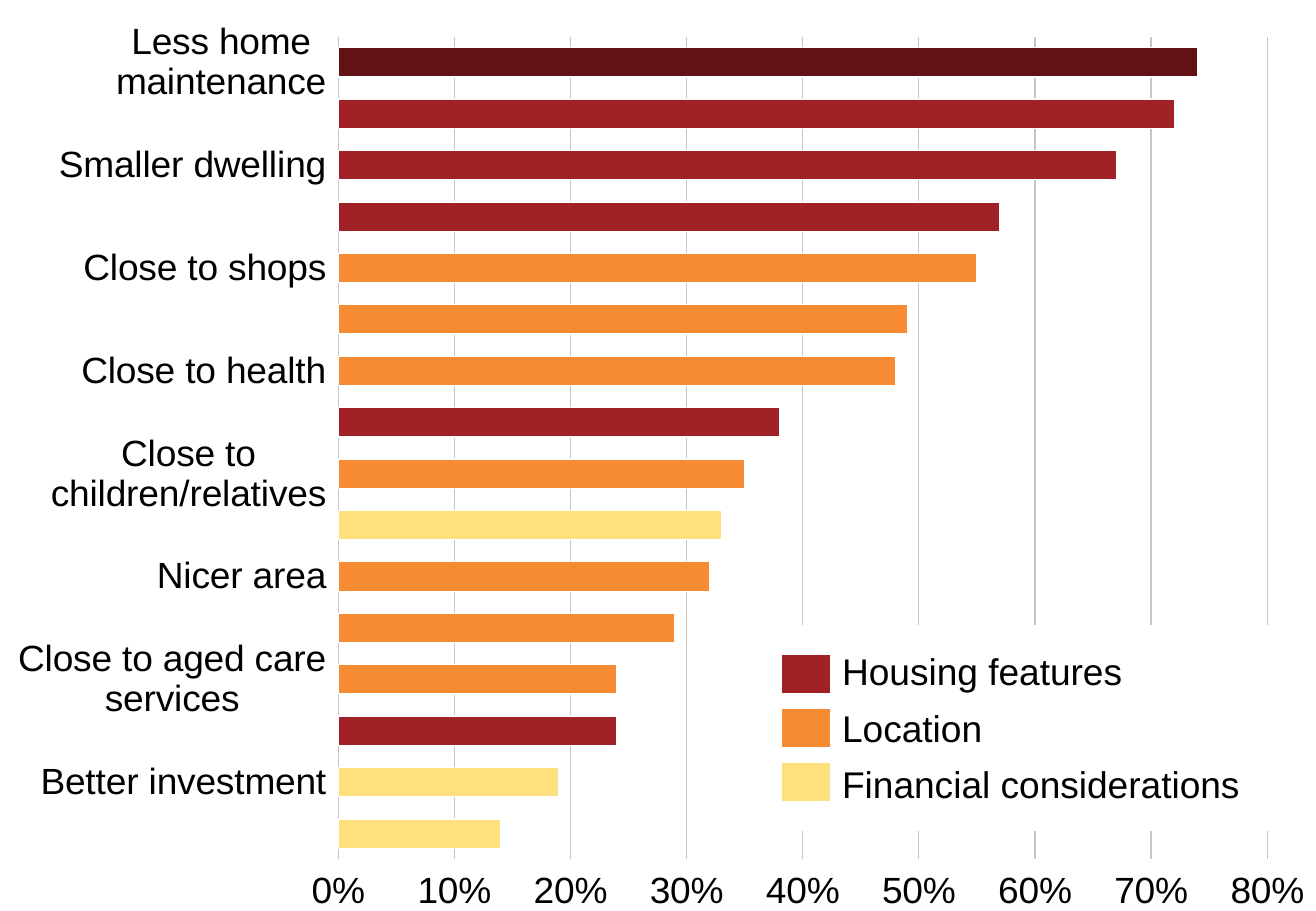
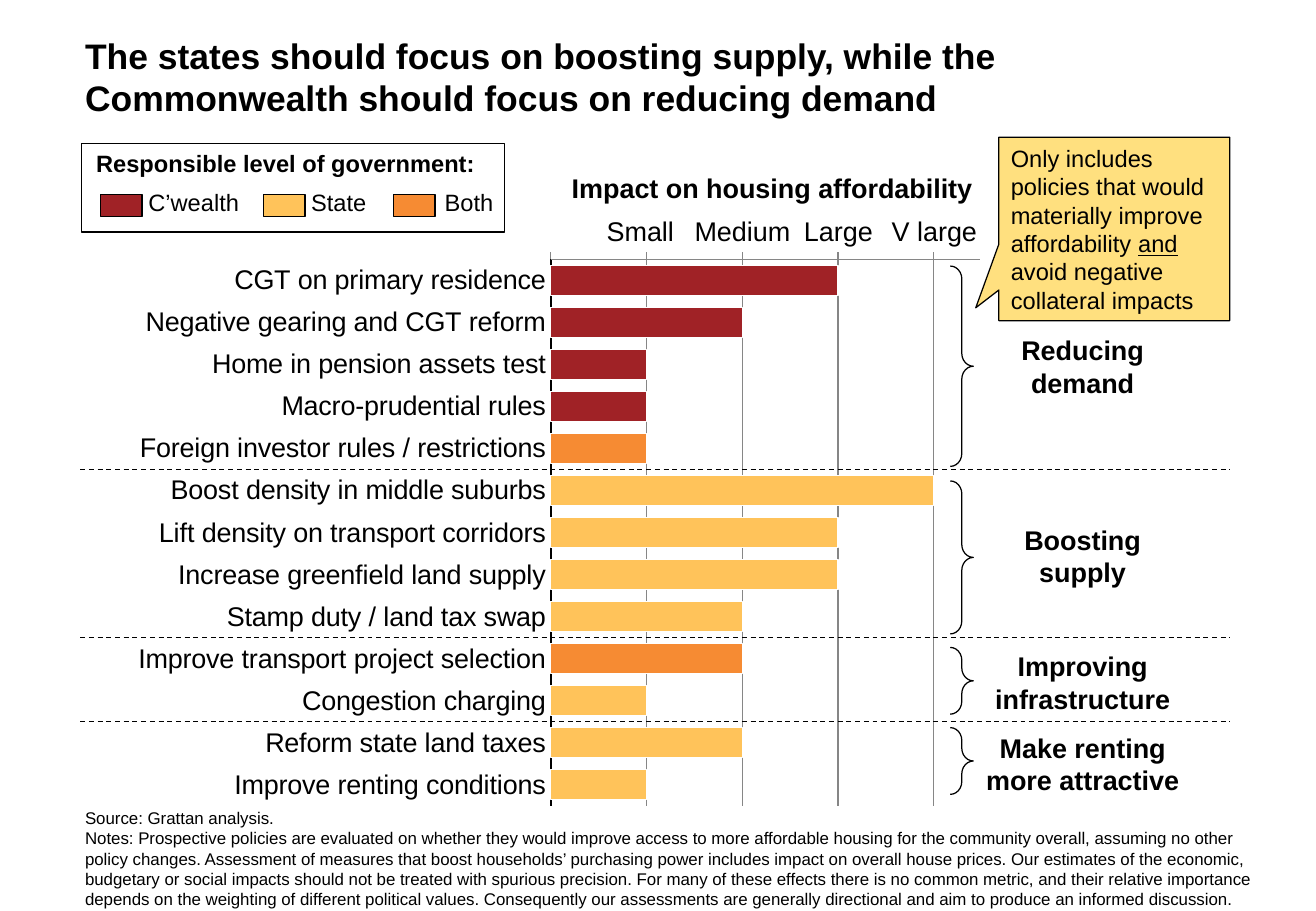
from lxml.etree import SubElement
from pptx import Presentation
from pptx.chart.data import CategoryChartData
from pptx.dml.color import RGBColor
from pptx.enum.chart import XL_CHART_TYPE, XL_TICK_LABEL_POSITION, XL_TICK_MARK
from pptx.enum.dml import MSO_LINE
from pptx.enum.shapes import MSO_CONNECTOR, MSO_SHAPE
from pptx.enum.text import MSO_ANCHOR, PP_ALIGN
from pptx.oxml.ns import qn
from pptx.util import Inches, Pt

# Shared look
WIDTH, HEIGHT = 10.83, 7.5
FONT = "Arial"
BLACK, WHITE, GREY, PALE_GREY = "000000", "FFFFFF", "868686", "C3C7CB"
MAROON, RED, ORANGE, AMBER, YELLOW = "621214", "A02226", "F68B33", "FFC35A", "FFE07F"
LEFT = 0.7

# Slide 1: reasons for moving
REASONS = [
    ("Less home maintenance", 0.74, MAROON),
    ("Less yard maintenance", 0.72, RED),
    ("Smaller dwelling", 0.67, RED),
    ("Better lifestyle", 0.57, RED),
    ("Close to shops", 0.55, ORANGE),
    ("Close to public transport", 0.49, ORANGE),
    ("Close to health", 0.48, ORANGE),
    ("More accessible home", 0.38, RED),
    ("Close to children/relatives", 0.35, ORANGE),
    ("Lower cost of living", 0.33, YELLOW),
    ("Nicer area", 0.32, ORANGE),
    ("Close to friends", 0.29, ORANGE),
    ("Close to aged care services", 0.24, ORANGE),
    ("More modern home", 0.24, RED),
    ("Better investment", 0.19, YELLOW),
    ("Reduce mortgage", 0.14, YELLOW),
]
REASON_KINDS = [("Housing features", RED), ("Location", ORANGE),
                ("Financial considerations", YELLOW)]

# Slide 2: policies by impact
TITLE = ("The states should focus on boosting supply, while the "
         "Commonwealth should focus on reducing demand")
POLICIES = [
    ("CGT on primary residence", 75, RED),
    ("Negative gearing and CGT reform", 50, RED),
    ("Home in pension assets test", 25, RED),
    ("Macro-prudential rules", 25, RED),
    ("Foreign investor rules / restrictions", 25, ORANGE),
    ("Boost density in middle suburbs", 100, AMBER),
    ("Lift density on transport corridors", 75, AMBER),
    ("Increase greenfield land supply", 75, AMBER),
    ("Stamp duty / land tax swap", 50, AMBER),
    ("Improve transport project selection", 50, ORANGE),
    ("Congestion charging", 25, AMBER),
    ("Reform state land taxes", 50, AMBER),
    ("Improve renting conditions", 25, AMBER),
]
IMPACT_STEP, IMPACT_MAX = 25, 112
# Label and its centre
IMPACTS = [("Small", 5.27), ("Medium", 6.11), ("Large", 6.9), ("V large", 7.69)]
# Label, number of policies, brace top and height, label top and width
GOALS = [
    ("Reducing demand", 5, 2.19, 1.65, 2.7, 1.56),
    ("Boosting supply", 4, 3.96, 1.26, 4.26, 1.56),
    ("Improving infrastructure", 2, 5.33, 0.55, 5.3, 1.81),
    ("Make renting more attractive", 2, 5.99, 0.55, 5.97, 1.81),
]
# Label, colour, left of swatch and of label
GOVERNMENTS = [("C’wealth", RED, 0.83, 1.22), ("State", AMBER, 2.17, 2.56),
               ("Both", ORANGE, 3.24, 3.66)]
CALLOUT = [("Only includes policies that would materially improve affordability ", False),
           ("and", True), (" avoid negative collateral impacts", False)]
FOOTNOTES = [
    "Source: Grattan analysis.",
    "Notes: Prospective policies are evaluated on whether they would improve access to more "
    "affordable housing for the community overall, assuming no other policy changes. Assessment "
    "of measures that boost households’ purchasing power includes impact on overall house prices. "
    "Our estimates of the economic, budgetary or social impacts should not be treated with "
    "spurious precision. For many of these effects there is no common metric, and their relative "
    "importance depends on the weighting of different political values. Consequently our "
    "assessments are generally directional and aim to produce an informed discussion.",
]


def rgb(color):
    return RGBColor.from_string(color)


def box(left, top, width, height):
    return [Inches(v) for v in (left, top, width, height)]


def set_line(line, color, width=0.75):
    line.color.rgb = rgb(color)
    line.width = Pt(width)


def set_font(font, size, bold=False):
    font.name, font.size, font.bold = FONT, Pt(size), bold
    font.color.rgb = rgb(BLACK)


def add_text(slide, place, paragraphs, size, bold=False, align=PP_ALIGN.LEFT,
             anchor=MSO_ANCHOR.TOP, inset=(0, 0), gap=0, wrap=True):
    frame = slide.shapes.add_textbox(*box(*place)).text_frame
    frame.word_wrap, frame.vertical_anchor = wrap, anchor
    frame.margin_left = frame.margin_right = Inches(inset[0])
    frame.margin_top = frame.margin_bottom = Inches(inset[1])
    frame.text = "\n".join(paragraphs)
    for i, paragraph in enumerate(frame.paragraphs):
        paragraph.alignment = align
        paragraph.space_before = Pt(gap if i else 0)
        set_font(paragraph.font, size, bold)


def add_block(slide, place, fill, line=BLACK, kind=MSO_SHAPE.RECTANGLE, adjust=()):
    block = slide.shapes.add_shape(kind, *box(*place))
    block.shadow.inherit = False
    if fill:
        block.fill.solid()
        block.fill.fore_color.rgb = rgb(fill)
    else:
        block.fill.background()
    set_line(block.line, line)
    for i, value in enumerate(adjust):
        block.adjustments[i] = value
    return block


def add_divider(slide, left, right, y):
    divider = slide.shapes.add_connector(
        MSO_CONNECTOR.STRAIGHT, Inches(left), Inches(y), Inches(right), Inches(y))
    set_line(divider.line, BLACK)
    divider.line.dash_style = MSO_LINE.DASH
    SubElement(divider._element.spPr, qn("a:effectLst"))


def add_bars(slide, place, rows, series, plot_share, size, gap, maximum, step, grid):
    """Horizontal bars, first row on top, one colour per row of the last series."""
    data = CategoryChartData()
    data.categories = [label for label, _, _ in rows]
    for name, amounts in series:
        data.add_series(name, amounts)
    chart = slide.shapes.add_chart(XL_CHART_TYPE.BAR_STACKED, *box(*place), data).chart
    chart.has_legend = chart.has_title = False
    set_font(chart.font, size)

    plot = chart.plots[0]
    plot.gap_width, plot.overlap, plot.vary_by_categories = gap, 100, False
    bars = plot.series[len(series) - 1]
    for i, (_, _, color) in enumerate(rows):
        bar = bars.points[i].format
        bar.fill.solid()
        bar.fill.fore_color.rgb = rgb(color)
        set_line(bar.line, WHITE)

    chart.category_axis.reverse_order = True
    values = chart.value_axis
    values.minimum_scale, values.maximum_scale, values.major_unit = 0, maximum, step
    values.has_major_gridlines = True
    set_line(values.major_gridlines.format.line, grid)

    # Fixed inner plot area
    area = chart._chartSpace.chart.plotArea
    for old in area.findall(qn("c:layout")):
        area.remove(old)
    layout = SubElement(area, qn("c:layout"))
    area.insert(0, layout)
    manual = SubElement(layout, qn("c:manualLayout"))
    settings = [("layoutTarget", "inner"), ("xMode", "edge"), ("yMode", "edge"),
                *zip("xywh", plot_share)]
    for tag, value in settings:
        SubElement(manual, qn("c:" + tag)).set("val", str(value))
    return chart


def build_reasons(slide):
    shares = [share for _, share, _ in REASONS]
    chart = add_bars(slide, (0, 0, WIDTH, HEIGHT), REASONS, [("Series 1", shares)],
                     (0.257, 0.041, 0.706, 0.918), 22, 75, 0.8, 0.1, PALE_GREY)
    values = chart.value_axis
    values.tick_label_position = XL_TICK_LABEL_POSITION.HIGH  # along the bottom
    values.tick_labels.number_format = "0%"
    values.tick_labels.number_format_is_linked = False
    for axis in (chart.category_axis, values):
        axis.format.line.fill.background()

    # Legend
    add_block(slide, (6.36, 5.15, 4.08, 1.69), WHITE, WHITE)
    add_text(slide, (6.93, 5.34, 3.51, 1.31), [kind for kind, _ in REASON_KINDS], 22, gap=7)
    for i, (_, color) in enumerate(REASON_KINDS):
        add_block(slide, (6.43, 5.39 + 0.445 * i, 0.41, 0.32), color, WHITE)


def build_policies(slide):
    _, top, _, height = chart_place = (0.11, 1.93, 7.97, 4.88)
    _, y, _, h = plot_share = (0.555, 0.042, 0.443, 0.922)
    impacts = [impact for _, impact, _ in POLICIES]
    # The first series is blank, the second holds the impacts
    series = [("Series 1", [None] * len(POLICIES)), ("Series 2", impacts)]
    chart = add_bars(slide, chart_place, POLICIES, series, plot_share, 18, 39,
                     IMPACT_MAX, IMPACT_STEP, GREY)
    chart.plots[0].series[0].format.fill.background()
    categories, values = chart.category_axis, chart.value_axis
    categories.major_tick_mark = XL_TICK_MARK.NONE
    set_font(categories.tick_labels.font, 16)
    set_line(categories.format.line, BLACK, 1)
    values.tick_label_position = XL_TICK_LABEL_POSITION.NONE
    set_line(values.format.line, GREY)

    # Title and footnotes
    add_text(slide, (LEFT, 0.27, 7.89, 0.71), [TITLE], 21, bold=True, anchor=MSO_ANCHOR.BOTTOM)
    add_text(slide, (LEFT, 6.65, 9.6, 0.84), FOOTNOTES, 10)

    # Impact scale above the gridlines
    add_text(slide, (3.77, 1.36, 5.17, 0.37), ["Impact on housing affordability"], 16,
             bold=True, align=PP_ALIGN.CENTER, inset=(0, 0.05))
    for impact, centre in IMPACTS:
        add_text(slide, (centre - 0.5, 1.77, 1, 0.27), [impact], 16,
                 align=PP_ALIGN.CENTER, wrap=False)

    # Legend
    add_block(slide, (0.67, 1.18, 3.48, 0.73), WHITE)
    add_text(slide, (0.75, 1.18, 3.29, 0.34), ["Responsible level of government:"], 14,
             bold=True, inset=(0.04, 0.05))
    for government, color, swatch_left, label_left in GOVERNMENTS:
        add_block(slide, (swatch_left, 1.6, 0.34, 0.18), color)
        add_text(slide, (label_left, 1.55, 1.02, 0.24), [government], 14)

    # Goals: dividers between groups, braces and labels
    row = h * height / len(POLICIES)
    divider_y = top + y * height
    for i, (goal, count, brace_top, brace_height, label_top, label_width) in enumerate(GOALS):
        if i:
            add_divider(slide, 0.66, 10.12, divider_y)
        divider_y += count * row
        add_block(slide, (7.82, brace_top, 0.19, brace_height), None,
                  kind=MSO_SHAPE.RIGHT_BRACE, adjust=(0.56, 0.5))
        add_text(slide, (8.91 - label_width / 2, label_top, label_width, 0.64), [goal], 16,
                 bold=True, align=PP_ALIGN.CENTER, inset=(0.04, 0.05))

    # Callout
    callout = add_block(slide, (8.22, 1.13, 1.9, 1.51), YELLOW,
                        kind=MSO_SHAPE.RECTANGULAR_CALLOUT, adjust=(-0.6, 0.43))
    paragraph = callout.text_frame.paragraphs[0]
    paragraph.alignment = PP_ALIGN.LEFT
    set_font(paragraph.font, 14)
    for words, underlined in CALLOUT:
        run = paragraph.add_run()
        run.text = words
        run.font.underline = underlined


def main():
    deck = Presentation()
    deck.slide_width, deck.slide_height = Inches(WIDTH), Inches(HEIGHT)
    for build in (build_reasons, build_policies):
        build(deck.slides.add_slide(deck.slide_layouts[6]))
    deck.save("out.pptx")


if __name__ == "__main__":
    main()
